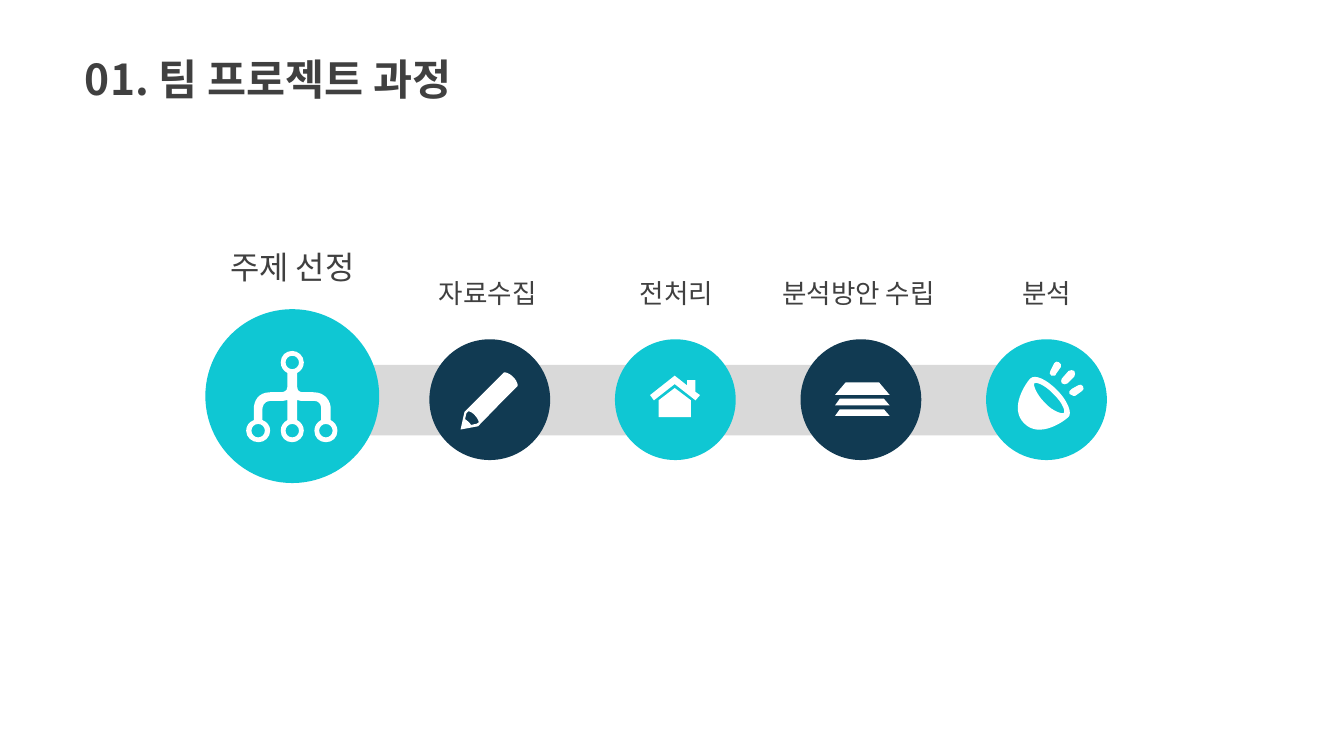
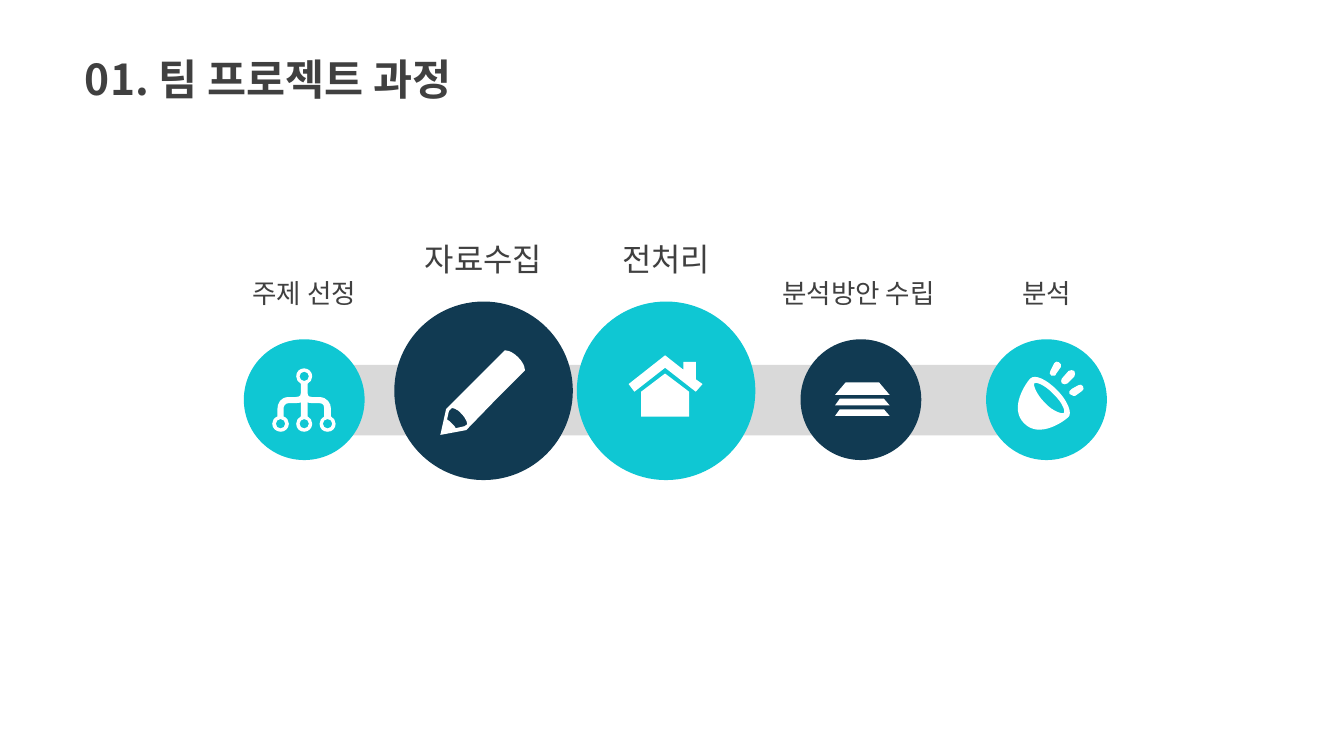
from dataclasses import dataclass

from pptx import Presentation
from pptx.dml.color import RGBColor
from pptx.enum.shapes import MSO_SHAPE
from pptx.enum.text import MSO_ANCHOR, MSO_AUTO_SIZE, PP_ALIGN
from pptx.oxml.ns import qn
from pptx.util import Pt

COLORS = {
    "text": "404040",
    "band": "D9D9D9",
    "cyan": "0FC7D3",
    "navy": "113A52",
    "icon": "FFFFFF",
}
FONT = "Noto Sans CJK KR"


def ring_hole(x, y, radius=7):
    """Return a circular contour made of four Bezier curves."""
    r, k = radius, radius * 0.55
    return (
        f"{x - r} {y}, {x - r} {y - k} {x - k} {y - r} {x} {y - r},"
        f"{x + k} {y - r} {x + r} {y - k} {x + r} {y},"
        f"{x + r} {y + k} {x + k} {y + r} {x} {y + r},"
        f"{x - k} {y + r} {x - r} {y + k} {x - r} {y}"
    )


# Outlines are measured from the centre of a disc of the given diameter.
# Contours are split by ";" and segments by ",": two numbers are a line,
# six a Bezier curve.
TREE = (181, [";".join([
    "40 25, 40 13, 40 6 35 -4 22 -4, 12 -4, 5 -4 5 -8 5 -10, 5 -24,"
    "9 -26 12 -30 12 -35, 12 -42 6 -47 0 -47, -7 -47 -12 -42 -12 -35,"
    "-12 -30 -9 -26 -5 -24, -5 -10, -5 -8 -5 -4 -13 -4, -23 -4,"
    "-36 -4 -40 6 -40 13, -40 25, -45 27 -48 31 -48 36,"
    "-48 43 -42 48 -35 48, -29 48 -23 43 -23 36, -23 31 -26 27 -31 25,"
    "-31 13, -31 12 -30 5 -23 5, -13 5, -10 5 -7 5 -5 4, -5 25,"
    "-9 27 -12 31 -12 36, -12 43 -7 48 0 48, 6 48 12 43 12 36,"
    "12 31 9 27 5 25, 5 4, 7 5 9 5 12 5, 22 5, 30 5 30 11 30 13, 30 25,"
    "26 27 23 31 23 36, 23 43 28 48 35 48, 42 48 47 43 47 36,"
    "47 31 44 27 40 25",
    ring_hole(-35.5, 36), ring_hole(0, -35), ring_hole(0, 36), ring_hole(35, 36),
])])
PENCIL = (186, [
    "36 -35, 28 -43 22 -42 22 -42, -7 -13, -39 19, -45 46, -18 41, 14 8,"
    "43 -21, 43 -21 44 -27 36 -35;"
    "-20 37, -29 39, -29 38 -31 36 -33 34, -35 32 -36 31 -38 30, -36 21,"
    "-33 18, -33 18 -28 18 -23 24, -17 30 -17 35 -17 35",
])
HOUSE = (186, [
    "-26 1, -26 27, 24 27, 24 1, -1 -18",
    "31 -12, 31 -30, 18 -30, 18 -22, -1 -37, -39 -7, -33 1, -1 -24, 31 1, 38 -7",
])
LAYERS = (126, [
    "-27 -5, -16 -18, 19 -18, 30 -5",
    "-22 -1, 24 -1, 30 6, -27 6",
    "-22 10, 24 10, 30 17, -27 17",
])
HORN = (126, [
    "-17 -22, -21 -18 -40 9 -23 25, -7 41 19 22 23 18, 27 14 22 1 11 -10,"
    "0 -21 -12 -27 -17 -22;"
    "18 14, 17 15 7 13 -2 3, -11 -6 -14 -16 -13 -17, -12 -19 -2 -16 7 -6,"
    "17 3 20 13 18 14;"
    "19 -16, 20 -16 21 -16 22 -17, 29 -24, 30 -26 30 -28 29 -30,"
    "27 -31 25 -31 23 -30, 16 -22, 15 -21 15 -18 16 -17, 17 -16 18 -16 19 -16;"
    "5 -25, 6 -25 6 -25 7 -25, 9 -25 10 -25 10 -27, 15 -34,"
    "16 -36 15 -38 13 -39, 11 -40 9 -40 8 -38, 4 -30, 3 -29 3 -26 5 -25;"
    "38 -14, 37 -16 35 -16 33 -15, 26 -11, 24 -10 23 -8 24 -6,"
    "25 -5 26 -4 28 -4, 28 -4 29 -4 30 -4, 37 -9, 39 -10 39 -12 38 -14",
])


@dataclass
class Stage:
    label: str
    icon: tuple
    color: str
    label_width: float
    label_shift: float = 0


STAGES = [
    Stage("주제 선정", TREE, "cyan", 98),
    Stage("자료수집", PENCIL, "navy", 92, -1.4),
    Stage("전처리", HOUSE, "cyan", 73, 1),
    Stage("분석방안 수립", LAYERS, "navy", 138, -1.8),
    Stage("분석", HORN, "cyan", 113),
]
FIRST_X, STAGE_STEP, STAGE_Y, DISC = 229.2, 139.8, 301.1, 91
BAND_X, BAND_STEP, BAND_Y, BAND_SIZE = 205.2, 137.5, 274.8, (182.9, 53.2)

# Highlighted stages of each slide: index -> (centre x, centre y, diameter)
HIGHLIGHTS = [
    {0: (220.2, 298.4, 131)},
    {1: (364.3, 294.4, 134.5), 2: (501.8, 294.4, 134.5)},
]


class Deck:
    def __init__(self, width, height):
        self.presentation = Presentation()
        self.presentation.slide_width = Pt(width)
        self.presentation.slide_height = Pt(height)
        self.slide = None

    def add_slide(self):
        layout = self.presentation.slide_layouts[5]
        self.slide = self.presentation.slides.add_slide(layout)

    def paint(self, shape, color):
        shape.shadow.inherit = False
        shape.fill.solid()
        shape.fill.fore_color.rgb = RGBColor.from_string(COLORS[color])
        shape.line.fill.background()

    def style_text(self, paragraph, size, align, bold=False):
        paragraph.alignment = align
        font = paragraph.font
        font.name = FONT
        font.size = Pt(size)
        font.bold = bold
        font.color.rgb = RGBColor.from_string(COLORS["text"])

    def title(self, text):
        title = self.slide.shapes.title
        title.left, title.top, title.width, title.height = Pt(64), Pt(39.6), Pt(342), Pt(78)
        frame = title.text_frame
        frame.margin_left = frame.margin_top = frame.margin_right = frame.margin_bottom = 0
        frame.vertical_anchor = MSO_ANCHOR.TOP
        frame.auto_size = MSO_AUTO_SIZE.NONE
        frame.text = text
        self.style_text(frame.paragraphs[0], 32, PP_ALIGN.LEFT, bold=True)

    def band(self, x, y, width, height):
        band = self.slide.shapes.add_shape(
            MSO_SHAPE.RECTANGLE, Pt(x), Pt(y), Pt(width), Pt(height))
        self.paint(band, "band")

    def outline(self, shapes, x, y, unit, outline):
        """Draw an outline through its control points, then join them to curves."""
        builder = None
        segment_sizes = []
        for contour in outline.split(";"):
            segments = [segment.split() for segment in contour.split(",")]
            numbers = [float(number) * unit for segment in segments for number in segment]
            points = list(zip(numbers[::2], numbers[1::2]))
            if builder is None:
                builder = shapes.build_freeform(*points[0])
            else:
                builder.move_to(*points[0])
            builder.add_line_segments(points[1:], close=True)
            segment_sizes += [len(segment) // 2 for segment in segments[1:]]
        shape = builder.convert_to_shape(Pt(x), Pt(y))
        lines = iter(list(shape._element.iter(qn("a:lnTo"))))
        for size in segment_sizes:
            first = next(lines)
            if size == 3:
                first.tag = qn("a:cubicBezTo")
                for _ in range(2):
                    line = next(lines)
                    first.append(line[0])
                    line.getparent().remove(line)
        self.paint(shape, "icon")

    def disc(self, x, y, diameter, color, icon):
        """Add a disc centred on (x, y) with its icon, as one group."""
        shapes = self.slide.shapes.add_group_shape().shapes
        disc = shapes.add_shape(
            MSO_SHAPE.OVAL, Pt(x - diameter / 2), Pt(y - diameter / 2),
            Pt(diameter), Pt(diameter))
        self.paint(disc, color)
        icon_diameter, outlines = icon
        for outline in outlines:
            self.outline(shapes, x, y, Pt(diameter) / icon_diameter, outline)

    def label(self, x, bottom, width, text, size, wrap):
        height = size * 1.78
        box = self.slide.shapes.add_textbox(
            Pt(x - width / 2), Pt(bottom - height), Pt(width), Pt(height))
        box.text_frame.word_wrap = wrap
        paragraph = box.text_frame.paragraphs[0]
        paragraph.text = text
        paragraph.line_spacing = 1.2
        self.style_text(paragraph, size, PP_ALIGN.CENTER)

    def process(self, highlights):
        for i in range(4):
            self.band(BAND_X + i * BAND_STEP, BAND_Y, *BAND_SIZE)
        for i, stage in enumerate(STAGES):
            highlighted = i in highlights
            if highlighted:
                x, y, diameter = highlights[i]
                label_x, gap, size, width = x, 13, 24, stage.label_width * 1.7
            else:
                x, y, diameter = FIRST_X + i * STAGE_STEP, STAGE_Y, DISC
                label_x, gap, size, width = x + stage.label_shift, 20, 20, stage.label_width
            self.disc(x, y, diameter, stage.color, stage.icon)
            self.label(label_x, y - diameter / 2 - gap, width, stage.label, size, highlighted)


def main():
    deck = Deck(1012.5, 569.5)
    for highlights in HIGHLIGHTS:
        deck.add_slide()
        deck.title("01. 팀 프로젝트 과정")
        deck.process(highlights)
    deck.presentation.save("out.pptx")


if __name__ == "__main__":
    main()
